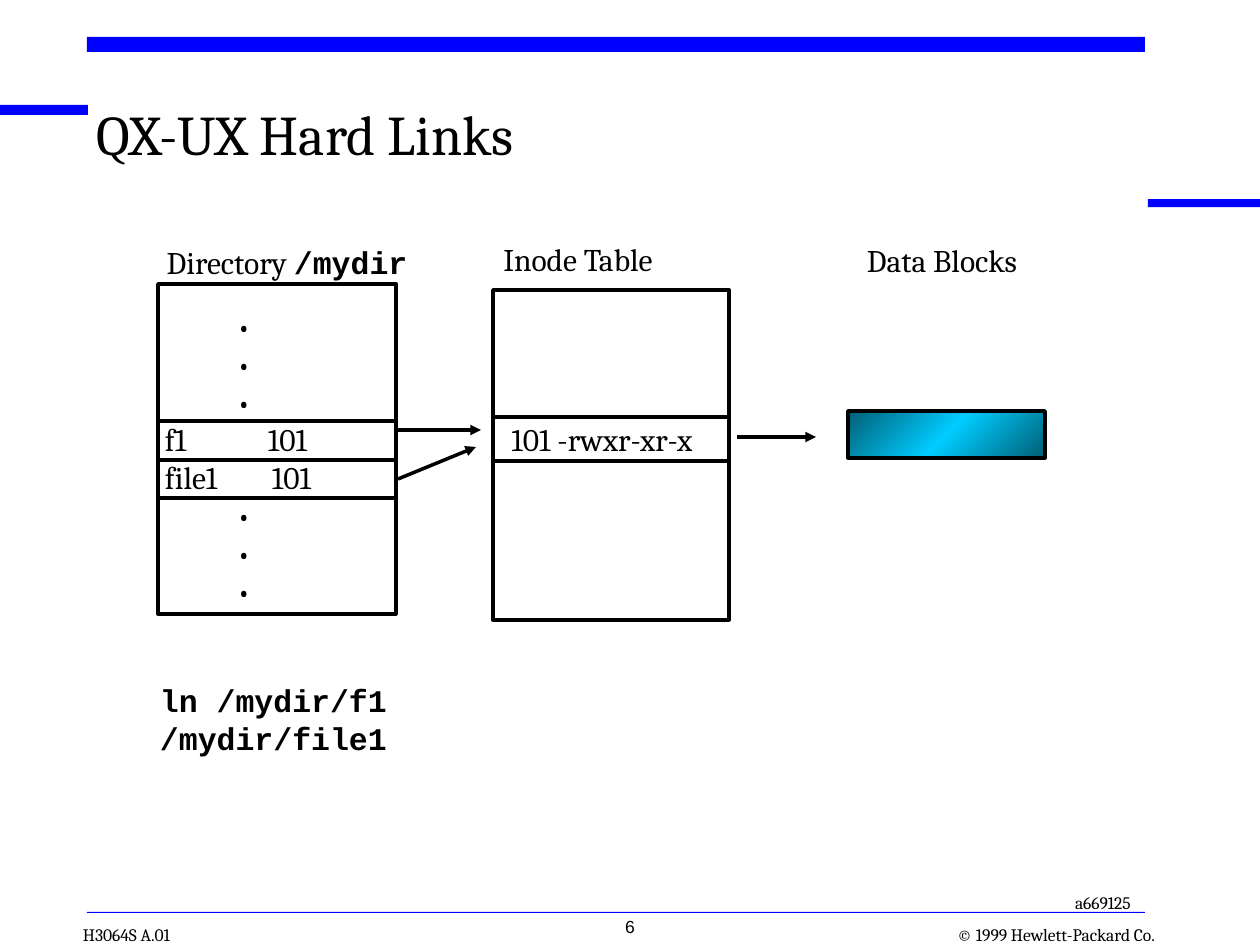
"""Build a slide on hard links: directory entries, inode table and data blocks."""
from copy import deepcopy
from typing import NamedTuple

from lxml.etree import SubElement
from pptx import Presentation
from pptx.dml.color import RGBColor
from pptx.enum.shapes import MSO_CONNECTOR, MSO_SHAPE
from pptx.enum.text import MSO_ANCHOR, PP_ALIGN
from pptx.oxml.ns import qn
from pptx.util import Emu, Pt

SCALE = 914400 / 126
BLACK = RGBColor(0, 0, 0)
BLUE = RGBColor(0, 0, 255)
TEAL = RGBColor(0, 0x5E, 0x75)
SKY = RGBColor(0, 0xCC, 0xFF)
SERIF, MONO, SANS = "Cambria", "Courier New", "Arial"
INSET_X, INSET_Y = 13, 6
DOT_INDENT = 72


class Box(NamedTuple):
    left: int
    top: int
    width: int
    height: int


class Line(NamedTuple):
    x1: int
    y1: int
    x2: int
    y2: int


class Span(NamedTuple):
    text: str
    font: str = SERIF
    bold: bool = False


class Entry(NamedTuple):
    name: str
    inode: str
    tab: int


BARS = [
    Box(0, 105, 88, 10),
    Box(87, 37, 1058, 15),
    Box(1148, 199, 112, 8),
    Box(87, 912, 1058, 1),
]
DIRECTORY = Box(158, 284, 238, 330)
INODES = Box(493, 290, 236, 330)
DATA_BLOCK = Box(848, 411, 197, 47)
DIVIDERS = [
    Line(160, 421, 398, 421),
    Line(160, 460, 397, 460),
    Line(160, 498, 396, 498),
    Line(495, 417, 731, 417),
    Line(493, 461, 731, 461),
]
ARROWS = [
    Line(398, 430, 481, 430),
    Line(398, 479, 476, 447),
    Line(737, 437, 816, 437),
]
ENTRIES = [Entry("f1", "101", 103), Entry("file1", "101", 107)]


def px(length: int) -> Emu:
    return Emu(round(length * SCALE))


def place(box: Box) -> list[Emu]:
    return [px(length) for length in box]


def add_spans(para, spans: list[Span], size: int) -> None:
    for span in spans:
        run = para.add_run()
        run.text = span.text
        run.font.name = span.font
        run.font.size = Pt(size)
        run.font.bold = span.bold
        run.font.color.rgb = BLACK


def add_frame(page, box: Box, *, inset: bool = True, wrap: bool = False,
              anchor: MSO_ANCHOR = MSO_ANCHOR.TOP):
    frame = page.shapes.add_textbox(*place(box)).text_frame
    frame.word_wrap = wrap
    frame.vertical_anchor = anchor
    frame.margin_left = frame.margin_right = px(INSET_X if inset else 0)
    frame.margin_top = frame.margin_bottom = px(INSET_Y if inset else 0)
    return frame


def add_text(page, box: Box, text: str, *, size: int = 18, font: str = SERIF,
             bold: bool = False, align: PP_ALIGN = PP_ALIGN.LEFT, spacing: float = 1.0,
             more: tuple[Span, ...] = (), **frame_format) -> None:
    para = add_frame(page, box, **frame_format).paragraphs[0]
    para.alignment = align
    para.line_spacing = spacing
    add_spans(para, [Span(text, font, bold), *more], size)


def add_entries(page, box: Box, entries: list[Entry]) -> None:
    frame = add_frame(page, box, wrap=True)
    rows = [None] * 3 + entries + [None] * 3
    for index, entry in enumerate(rows):
        para = frame.paragraphs[0] if index == 0 else frame.add_paragraph()
        properties = para._p.get_or_add_pPr()
        if entry is None:
            properties.set("marL", str(px(DOT_INDENT)))
            properties.set("indent", "0")
            add_spans(para, [Span("•")], 18)
        else:
            tabs = SubElement(properties, qn("a:tabLst"))
            SubElement(tabs, qn("a:tab"), pos=str(px(entry.tab)), algn="l")
            add_spans(para, [Span(f"{entry.name}\t{entry.inode}")], 18)


def add_bar(page, box: Box) -> None:
    bar = page.shapes.add_shape(MSO_SHAPE.ROUNDED_RECTANGLE, *place(box))
    bar.adjustments[0] = 0
    bar.shadow.inherit = False
    bar.fill.solid()
    bar.fill.fore_color.rgb = BLUE
    bar.line.fill.background()


def add_outline(page, box: Box):
    shape = page.shapes.add_shape(MSO_SHAPE.RECTANGLE, *place(box))
    shape.shadow.inherit = False
    shape.fill.background()
    shape.line.color.rgb = BLACK
    shape.line.width = Pt(2)
    return shape


def add_data_block(page, box: Box) -> None:
    fill = add_outline(page, box).fill
    fill.gradient()
    fill.gradient_angle = 135
    first = fill.gradient_stops[0]._gs
    first.addnext(deepcopy(first))
    for stop, color, position in zip(fill.gradient_stops, (TEAL, SKY, TEAL), (0, 0.5, 1)):
        stop.color.rgb = color
        stop.position = position


def add_line(page, line: Line, *, arrow: bool = False) -> None:
    connector = page.shapes.add_connector(MSO_CONNECTOR.STRAIGHT, *map(px, line))
    connector.line.color.rgb = BLACK
    connector.line.width = Pt(2)
    if arrow:
        SubElement(connector.line._get_or_add_ln(), qn("a:tailEnd"), type="triangle")
    SubElement(connector._element.spPr, qn("a:effectLst"))


def main() -> None:
    deck = Presentation()
    deck.slide_width, deck.slide_height = px(1260), px(945)
    page = deck.slides.add_slide(deck.slide_layouts[6])
    center, bottom = PP_ALIGN.CENTER, MSO_ANCHOR.BOTTOM

    for bar in BARS:
        add_bar(page, bar)
    add_text(page, Box(926, 924, 229, 21), "© 1999 Hewlett-Packard Co.", size=10,
             align=PP_ALIGN.RIGHT, inset=False, anchor=bottom)
    add_text(page, Box(83, 924, 103, 21), "H3064S A.01", size=10, inset=False, anchor=bottom)
    add_text(page, Box(97, 110, 1017, 84), "QX-UX Hard Links", size=32, spacing=0.85,
             inset=False, wrap=True)
    add_text(page, Box(1062, 886, 95, 34), "a669125", size=10)
    add_text(page, Box(499, 910, 262, 42), "6", size=10, font=SANS, align=center, wrap=True)

    add_text(page, Box(145, 237, 284, 50), "Directory ", align=center,
             more=(Span("/mydir", MONO, True),))
    add_text(page, Box(478, 234, 200, 50), "Inode Table", align=center)
    add_text(page, Box(843, 235, 198, 50), "Data Blocks", align=center)

    add_outline(page, DIRECTORY)
    add_outline(page, INODES)
    add_data_block(page, DATA_BLOCK)
    add_entries(page, Box(152, 301, 208, 315), ENTRIES)
    add_text(page, Box(486, 414, 232, 50), "101 -rwxr-xr-x", align=center)
    for divider in DIVIDERS:
        add_line(page, divider)
    for arrow in ARROWS:
        add_line(page, arrow, arrow=True)
    add_text(page, Box(147, 675, 498, 50), "ln /mydir/f1 /mydir/file1", font=MONO, bold=True)

    deck.save("out.pptx")


if __name__ == "__main__":
    main()
